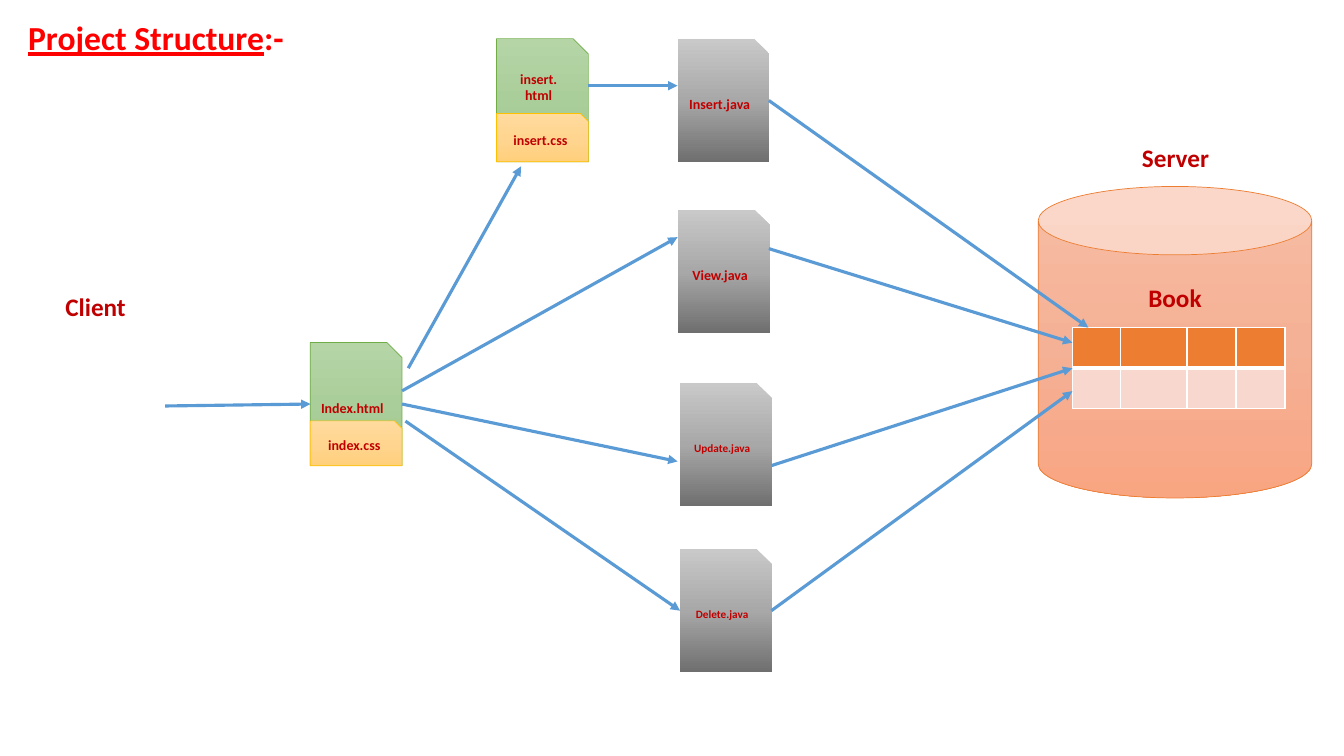
import copy

import pptx
import pptx.dml.color
import pptx.enum.dml
import pptx.enum.shapes
import pptx.enum.text
import pptx.oxml.ns
import pptx.util
from lxml import etree

Pt = pptx.util.Pt
RGBColor = pptx.dml.color.RGBColor
SHAPE = pptx.enum.shapes.MSO_SHAPE
qn = pptx.oxml.ns.qn

RED = RGBColor(0xFF, 0x00, 0x00)
DARK_RED = RGBColor(0xC0, 0x00, 0x00)
BLUE = RGBColor(0x5B, 0x9B, 0xD5)
GREEN = RGBColor(0x70, 0xAD, 0x47)
GOLD = RGBColor(0xFF, 0xC0, 0x00)
ORANGE = RGBColor(0xED, 0x7D, 0x31)
PALE_ORANGE = RGBColor(0xF8, 0xD7, 0xCE)
WHITE = RGBColor(0xFF, 0xFF, 0xFF)
GREY_FADE = (RGBColor(0xC9, 0xC9, 0xC9), RGBColor(0xA8, 0xA8, 0xA8), RGBColor(0x6F, 0x6F, 0x6F))
GREEN_FADE = (RGBColor(0xB5, 0xD5, 0xA7), RGBColor(0xAA, 0xCE, 0x9A), RGBColor(0x9C, 0xC9, 0x87))
GOLD_FADE = (RGBColor(0xFF, 0xDB, 0x9E), RGBColor(0xFF, 0xD5, 0x90), RGBColor(0xFF, 0xD0, 0x7C))
ORANGE_FADE = (RGBColor(0xF7, 0xBD, 0xA5), RGBColor(0xF5, 0xB1, 0x96), RGBColor(0xF8, 0xA5, 0x82))


class Diagram:
    """Draws the elements of the project diagram on one slide in a shared style."""

    font = {"name": "Calibri", "bold": True}
    page_width = 65.6
    page_height = 88

    def __init__(self, slide):
        self.slide = slide

    def add_words(self, paragraph, text, size, color, **extra):
        run = paragraph.add_run()
        run.text = text
        for key, value in {**self.font, "size": Pt(size), **extra}.items():
            setattr(run.font, key, value)
        run.font.color.rgb = color

    def label(self, x, y, width, height, pieces, size, color):
        box = self.slide.shapes.add_textbox(Pt(x), Pt(y), Pt(width), Pt(height))
        frame = box.text_frame
        frame.word_wrap = True
        frame.auto_size = pptx.enum.text.MSO_AUTO_SIZE.SHAPE_TO_FIT_TEXT
        for text, extra in pieces:
            self.add_words(frame.paragraphs[0], text, size, color, **extra)

    def block(self, kind, x, y, width, height, colors, edge, text, size, bottom=3.6):
        block = self.slide.shapes.add_shape(kind, Pt(x), Pt(y), Pt(width), Pt(height))
        block.shadow.inherit = False
        self.fade(block, colors)
        if edge is None:
            block.line.fill.background()
        else:
            block.line.color.rgb = edge
            block.line.width = Pt(0.5)
        frame = block.text_frame
        layout = {
            "word_wrap": True,
            "vertical_anchor": pptx.enum.text.MSO_ANCHOR.MIDDLE,
            "margin_bottom": Pt(bottom),
        }
        for key, value in layout.items():
            setattr(frame, key, value)
        for index, line in enumerate(text.split("\n")):
            paragraph = frame.add_paragraph() if index else frame.paragraphs[0]
            paragraph.alignment = pptx.enum.text.PP_ALIGN.CENTER
            self.add_words(paragraph, line, size, DARK_RED)

    def fade(self, block, colors):
        block.fill.gradient()
        block.fill.gradient_angle = 270
        stops = block._element.spPr.find(qn("a:gradFill")).find(qn("a:gsLst"))
        stops.insert(1, copy.deepcopy(stops[0]))
        for stop, color, position in zip(block.fill.gradient_stops, colors, (0, 0.5, 1)):
            stop.color.rgb = color
            stop.position = position

    def page(self, x, y, colors, edge, text, size, bottom=3.6):
        self.block(SHAPE.SNIP_1_RECTANGLE, x, y, self.page_width, self.page_height,
                   colors, edge, text, size, bottom)

    def stylesheet(self, x, page_top, height, text):
        self.block(SHAPE.SNIP_1_RECTANGLE, x, page_top + self.page_height - height,
                   self.page_width, height, GOLD_FADE, GOLD, text, 10)

    def table(self, x, y, widths, row_height, fills):
        grid = self.slide.shapes.add_table(
            len(fills), len(widths), Pt(x), Pt(y), Pt(sum(widths)), Pt(row_height * len(fills))).table
        for column, width in zip(grid.columns, widths):
            column.width = Pt(width)
        for row, color, thick_side in zip(grid.rows, fills, ("lnB", "lnT")):
            row.height = Pt(row_height)
            for cell in row.cells:
                cell.fill.solid()
                cell.fill.fore_color.rgb = color
                self.borders(cell, thick_side)

    def borders(self, cell, thick_side):
        properties = cell._tc.get_or_add_tcPr()
        for index, side in enumerate(("lnL", "lnR", "lnT", "lnB")):
            border = etree.Element(qn(f"a:{side}"), w=str(Pt(3 if side == thick_side else 1)))
            solid = etree.SubElement(border, qn("a:solidFill"))
            etree.SubElement(solid, qn("a:srgbClr"), val=str(WHITE))
            properties.insert(index, border)

    def arrow(self, start, end):
        arrow = self.slide.shapes.add_connector(
            pptx.enum.shapes.MSO_CONNECTOR.STRAIGHT, *(Pt(value) for value in (*start, *end)))
        arrow.line.color.rgb = BLUE
        arrow.line.width = Pt(2.25)
        properties = arrow._element.spPr
        etree.SubElement(properties.find(qn("a:ln")), qn("a:tailEnd"), type="triangle")
        etree.SubElement(properties, qn("a:effectLst"))


def main():
    deck = pptx.Presentation()
    deck.slide_width, deck.slide_height = Pt(960), Pt(540)
    diagram = Diagram(deck.slides.add_slide(deck.slide_layouts[6]))

    diagram.label(13, 8.6, 217.4, 36, [("Project Structure", {"underline": True}), (":-", {})], 24, RED)

    for x, y, name, size in (
        (484, 27.7, "Insert.java", 10),
        (484.3, 149.8, "View.java", 10),
        (485.8, 273.6, "Update.java", 8),
        (485.8, 392.2, "Delete.java", 8),
    ):
        diagram.page(x, y, GREY_FADE, None, name, size)

    for x, y, name, bottom, sheet, sheet_height in (
        (221.6, 244.6, "Index.html", 3.6, "index.css", 32),
        (354.7, 27.6, "insert.\nhtml", 28, "insert.css", 34.5),
    ):
        diagram.page(x, y, GREEN_FADE, GREEN, name, 10, bottom)
        diagram.stylesheet(x, y, sheet_height, sheet)

    diagram.block(SHAPE.CAN, 741.6, 133.2, 195.4, 222.5, ORANGE_FADE, ORANGE, "Book", 18, 91.5)
    diagram.table(765.9, 233.9, (34.6, 47.4, 35, 35), 29, (ORANGE, PALE_ORANGE))

    for name, x, y in (("Client", 39.6, 204.8), ("Server", 808.6, 98.4)):
        diagram.label(x, y, 92.9, 29, [(name, {})], 18, DARK_RED)

    for start, end in (
        ((118, 290), (221.8, 288.6)),
        ((291.6, 263), (372.2, 118.8)),
        ((287.2, 279.2), (484, 169.4)),
        ((287.2, 288.6), (484, 329.6)),
        ((289.6, 300.8), (485.8, 436.2)),
        ((549.2, 71.8), (777.4, 234)),
        ((549.2, 177.6), (766, 244.8)),
        ((551, 332.6), (766, 263)),
        ((551, 436.2), (766, 279.4)),
        ((420, 61.2), (484, 61.2)),
    ):
        diagram.arrow(start, end)

    deck.save("out.pptx")


if __name__ == "__main__":
    main()
